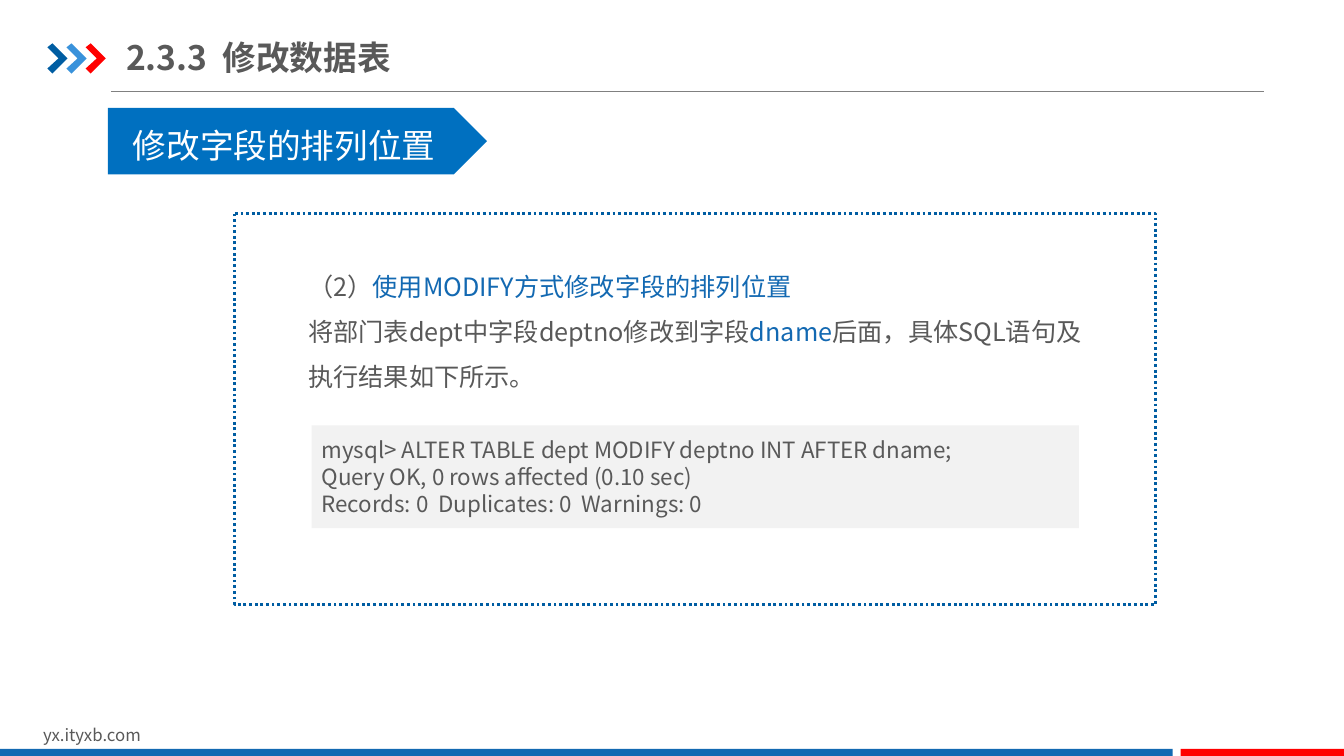
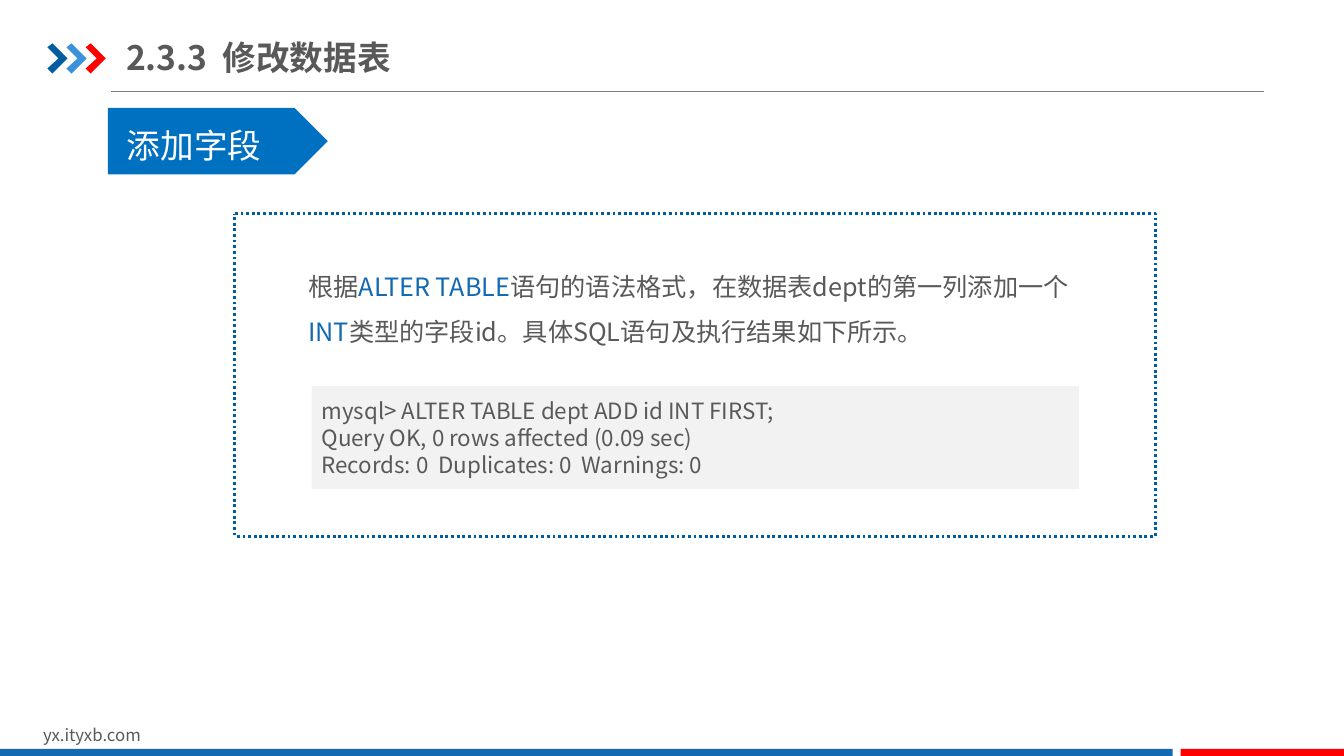
from lxml import etree
from pptx import Presentation
from pptx.dml.color import RGBColor
from pptx.enum.dml import MSO_LINE
from pptx.enum.shapes import MSO_CONNECTOR, MSO_SHAPE
from pptx.enum.text import MSO_ANCHOR, MSO_AUTO_SIZE, PP_ALIGN
from pptx.oxml.ns import qn
from pptx.util import Inches, Pt

FONT = "Noto Sans CJK SC"
WHITE = RGBColor(0xFF, 0xFF, 0xFF)
TEXT_GREY = RGBColor(0x59, 0x59, 0x59)
RULE_GREY = RGBColor(0x80, 0x80, 0x80)
CODE_GREY = RGBColor(0xF2, 0xF2, 0xF2)
DARK_BLUE = RGBColor(0x00, 0x5D, 0xA2)
LIGHT_BLUE = RGBColor(0x39, 0x92, 0xDB)
ACCENT_BLUE = RGBColor(0x13, 0x69, 0xB2)
TAG_BLUE = RGBColor(0x00, 0x70, 0xC0)
RED = RGBColor(0xFF, 0x00, 0x00)

RECTANGLE = MSO_SHAPE.RECTANGLE
PROCESS = MSO_SHAPE.FLOWCHART_PROCESS
PENTAGON = MSO_SHAPE.PENTAGON
STRAIGHT = MSO_CONNECTOR.STRAIGHT
DOTTED = MSO_LINE.ROUND_DOT
LEFT = PP_ALIGN.LEFT
MIDDLE = MSO_ANCHOR.MIDDLE
NO_AUTOFIT = MSO_AUTO_SIZE.NONE
GROW = MSO_AUTO_SIZE.SHAPE_TO_FIT_TEXT

TITLE_ONLY_LAYOUT = 5
TITLE = "2.3.3  修改数据表"
CHEVRON_OUTLINE = [(0, 0.04), (0.05, 0), (0.2, 0.15), (0.05, 0.3), (0, 0.25), (0.11, 0.15)]


def box(left, top, width, height):
    return Inches(left), Inches(top), Inches(width), Inches(height)


def format_run(run, size, color, bold=False):
    """Style a run, with the same typeface for Latin and Chinese text."""
    run.font.size = Pt(size)
    run.font.bold = bold
    run.font.color.rgb = color
    run.font.name = FONT
    etree.SubElement(run.font._element, qn("a:ea")).set("typeface", FONT)


def fill_text(text_frame, paragraphs, size, line_spacing=None, bold=False):
    """Write paragraphs, each a list of (text, color) pieces."""
    for index, pieces in enumerate(paragraphs):
        paragraph = text_frame.add_paragraph() if index else text_frame.paragraphs[0]
        paragraph.alignment = LEFT
        if line_spacing:
            paragraph.line_spacing = line_spacing
        for text, color in pieces:
            run = paragraph.add_run()
            run.text = text
            format_run(run, size, color, bold)


def add_text(slide, bounds, paragraphs, size, line_spacing=None):
    text_box = slide.shapes.add_textbox(*box(*bounds))
    text_box.text_frame.word_wrap = True
    text_box.text_frame.auto_size = GROW
    fill_text(text_box.text_frame, paragraphs, size, line_spacing)
    return text_box


def paint(shape, fill):
    shape.shadow.inherit = False
    shape.fill.solid()
    shape.fill.fore_color.rgb = fill
    shape.line.fill.background()
    return shape


def add_block(slide, kind, bounds, fill):
    return paint(slide.shapes.add_shape(kind, *box(*bounds)), fill)


def add_chevron(slide, left, top, fill):
    points = [(Inches(left + x), Inches(top + y)) for x, y in CHEVRON_OUTLINE]
    builder = slide.shapes.build_freeform(*points[0])
    builder.add_line_segments(points[1:], close=True)
    return paint(builder.convert_to_shape(), fill)


def add_rule(slide, left, right, top):
    rule = slide.shapes.add_connector(
        STRAIGHT, Inches(left), Inches(top), Inches(right), Inches(top))
    rule.line.color.rgb = RULE_GREY
    rule.line.width = Pt(0.75)
    etree.SubElement(rule.element.spPr, qn("a:effectLst"))
    return rule


def decorate_layout(layout, slide):
    """Draw the shared parts on a slide and move them to its layout."""
    parts = [add_rule(slide, 1.1, 12.54, 0.91)]
    for index, color in enumerate((DARK_BLUE, LIGHT_BLUE, RED)):
        parts.append(add_chevron(slide, 0.47 + 0.19 * index, 0.43, color))
    parts.append(add_text(slide, (0.33, 7.14, 3.18, 0.3), [[("yx.ityxb.com", TEXT_GREY)]], 12))
    parts.append(add_block(slide, RECTANGLE, (0, 7.43, 11.63, 0.09), ACCENT_BLUE))
    parts.append(add_block(slide, RECTANGLE, (11.71, 7.43, 1.63, 0.09), RED))
    for shape_id, part in enumerate(parts, start=100):
        part.element.xpath(".//p:cNvPr")[0].set("id", str(shape_id))
        layout.shapes.element.append(part.element)


def set_title(slide):
    title = slide.shapes.title
    title.left, title.top, title.width, title.height = box(1.25, 0.29, 4.26, 0.55)
    frame = title.text_frame
    frame.auto_size = NO_AUTOFIT
    frame.vertical_anchor = MIDDLE
    frame.margin_left = frame.margin_right = 0
    frame.margin_top = frame.margin_bottom = Inches(0.07)
    fill_text(frame, [[(TITLE, TEXT_GREY)]], 24, bold=True)


def add_tag(slide, text, width, text_left):
    add_block(slide, PENTAGON, (1.07, 1.07, width, 0.66), TAG_BLUE)
    text_width = width - 2 * (text_left - 1.07)
    add_text(slide, (text_left, 0.99, text_width, 0.71), [[(text, WHITE)]], 24, 1.5)


def add_panel(slide, height):
    panel = add_block(slide, PROCESS, (2.33, 2.12, 9.13, height), WHITE)
    panel.line.color.rgb = DARK_BLUE
    panel.line.width = Pt(2)
    panel.line.dash_style = DOTTED


def add_code(slide, top, lines):
    code = add_block(slide, RECTANGLE, (3.09, top, 7.61, 1.02), CODE_GREY)
    code.text_frame.word_wrap = True
    code.text_frame.vertical_anchor = MIDDLE
    fill_text(code.text_frame, [[(line, TEXT_GREY)] for line in lines], 16)


def fill_slide(slide, tag, panel_height, body, body_height, code_top, code_lines):
    """Fill a slide; tag holds its text, its width and the left edge of the text."""
    set_title(slide)
    add_panel(slide, panel_height)
    add_text(slide, (2.96, 2.49, 8, body_height), body, 18, 1.5)
    add_tag(slide, *tag)
    add_code(slide, code_top, code_lines)


def main():
    presentation = Presentation()
    presentation.slide_width = Inches(13.33)
    presentation.slide_height = Inches(7.5)
    layout = presentation.slide_layouts[TITLE_ONLY_LAYOUT]

    move_slide = presentation.slides.add_slide(layout)
    decorate_layout(layout, move_slide)
    fill_slide(
        move_slide,
        tag=("修改字段的排列位置", 3.76, 1.22),
        panel_height=3.88,
        body=[
            [("（2）", TEXT_GREY), ("使用MODIFY方式修改字段的排列位置", ACCENT_BLUE)],
            [("将部门表dept中字段deptno修改到字段", TEXT_GREY), ("dname", ACCENT_BLUE),
             ("后面，具体SQL语句及执行结果如下所示。", TEXT_GREY)],
        ],
        body_height=1.46,
        code_top=4.22,
        code_lines=[
            "mysql> ALTER TABLE dept MODIFY deptno INT AFTER dname;",
            "Query OK, 0 rows affected (0.10 sec)",
            "Records: 0  Duplicates: 0  Warnings: 0",
        ],
    )

    fill_slide(
        presentation.slides.add_slide(layout),
        tag=("添加字段", 2.18, 1.16),
        panel_height=3.2,
        body=[
            [("根据", TEXT_GREY), ("ALTER TABLE", ACCENT_BLUE),
             ("语句的语法格式，在数据表dept的第一列添加一个", TEXT_GREY), ("INT", ACCENT_BLUE),
             ("类型的字段id。具体SQL语句及执行结果如下所示。", TEXT_GREY)],
        ],
        body_height=1.01,
        code_top=3.83,
        code_lines=[
            "mysql> ALTER TABLE dept ADD id INT FIRST;",
            "Query OK, 0 rows affected (0.09 sec)",
            "Records: 0  Duplicates: 0  Warnings: 0",
        ],
    )
    presentation.save("out.pptx")


if __name__ == "__main__":
    main()
